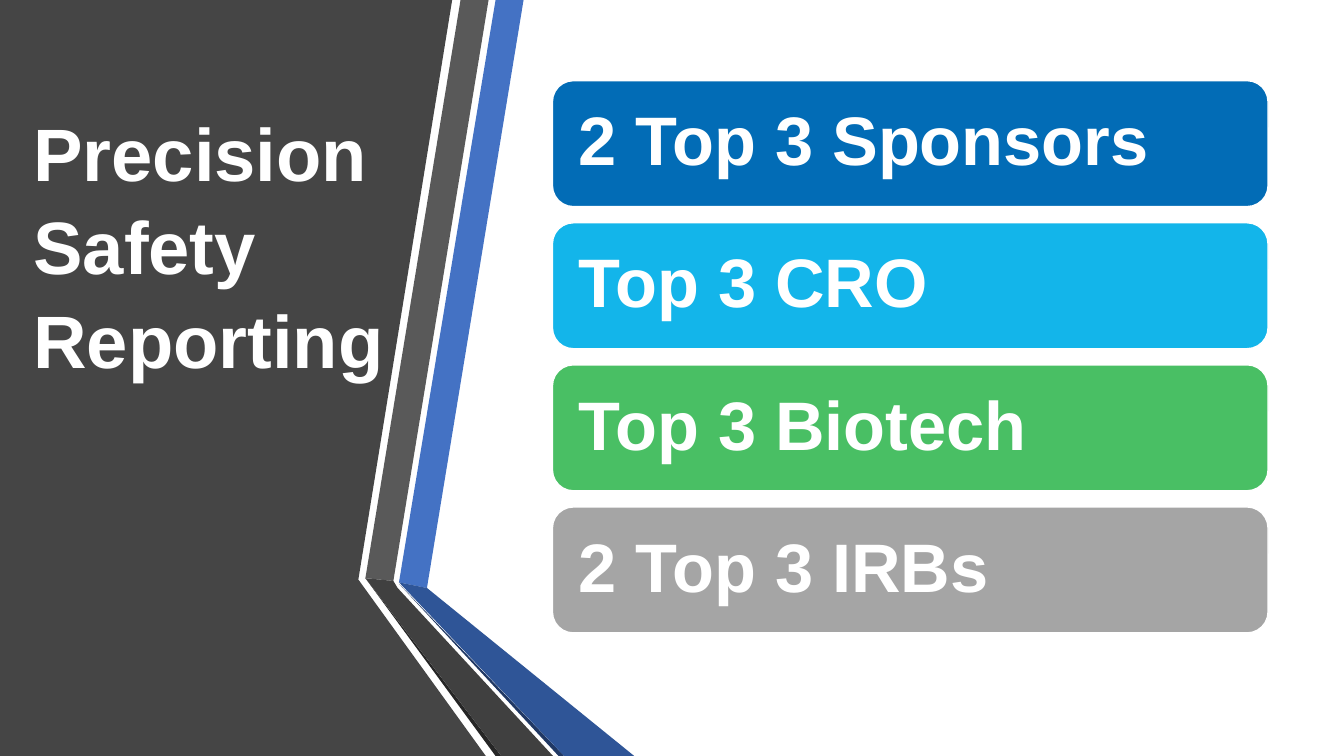
"""Build the Precision Safety Reporting slide."""
from pptx import Presentation
from pptx.dml.color import RGBColor
from pptx.enum.shapes import MSO_SHAPE
from pptx.enum.text import MSO_ANCHOR, MSO_AUTO_SIZE, PP_ALIGN
from pptx.util import Pt

COLORS = {
    "white": "FFFFFF", "panel": "454545", "blue": "4472C4", "gray": "595959",
    "black": "262626", "navy": "203864", "deep_blue": "2F5597",
    "dark_gray": "404040", "sponsors": "026CB6", "cro": "13B5EA",
    "biotech": "49BF64", "irbs": "A5A5A5",
}
TITLE = "Precision Safety Reporting"
BARS = [
    ("2 Top 3 Sponsors", "sponsors"),
    ("Top 3 CRO", "cro"),
    ("Top 3 Biotech", "biotech"),
    ("2 Top 3 IRBs", "irbs"),
]
BANDS = [
    ("panel", [(0, 0), (323.3, 0), (256.3, 414.5), (347, 540), (0, 540)]),
    ("blue", [(285.1, 416.2), (304.6, 419.8), (373.7, 0), (353.5, 0)]),
    ("gray", [(349.2, 0), (329, 0), (261.4, 412.6), (280.8, 415.4)]),
    ("black", [(261.4, 412.6), (353.5, 540), (357.8, 540)]),
    ("navy", [(285.1, 416.9), (398.9, 540), (403.2, 540)]),
    ("deep_blue", [(285.1, 416.2), (403.2, 540), (452.9, 540), (304.6, 419.8)]),
    ("dark_gray", [(394.6, 540), (284.4, 419.8), (280.8, 415.4),
                   (261.4, 412.6), (357.8, 540)]),
]
BAR_LEFT, BAR_TOP, BAR_W, BAR_H, BAR_STEP = 394.6, 57.6, 511.2, 90, 101.5
TITLE_BOX = {"left": Pt(16.6), "top": Pt(69.8), "width": Pt(268.6), "height": Pt(200.2)}
TITLE_FRAME = {"word_wrap": True, "vertical_anchor": MSO_ANCHOR.TOP,
               "auto_size": MSO_AUTO_SIZE.SHAPE_TO_FIT_TEXT,
               "margin_left": Pt(7.2), "margin_right": Pt(7.2),
               "margin_top": Pt(3.6), "margin_bottom": Pt(3.6)}
BAR_FRAME = {"word_wrap": True, "vertical_anchor": MSO_ANCHOR.MIDDLE,
             "margin_left": Pt(14.4), "margin_right": Pt(14.4),
             "margin_top": Pt(14.4), "margin_bottom": Pt(14.4)}


def rgb(name):
    """Return a named colour."""
    return RGBColor.from_string(COLORS[name])


def apply(obj, values):
    """Set each attribute in values on obj."""
    for key, value in values.items():
        setattr(obj, key, value)


def fill(sp, color):
    """Give a shape a plain fill without shadow."""
    sp.shadow.inherit = False
    sp.fill.solid()
    sp.fill.fore_color.rgb = rgb(color)


def write(sp, text, size, spacing, frame):
    """Write one bold white paragraph in a shape."""
    tf = sp.text_frame
    apply(tf, frame)
    p = tf.paragraphs[0]
    apply(p, {"alignment": PP_ALIGN.LEFT, "line_spacing": spacing})
    r = p.add_run()
    r.text = text
    apply(r.font, {"name": "Arial", "size": Pt(size), "bold": True})
    r.font.color.rgb = rgb("white")


def main():
    """Compose and save the slide."""
    prs = Presentation()
    apply(prs, {"slide_width": Pt(960), "slide_height": Pt(540)})
    s = prs.slides.add_slide(prs.slide_layouts[5])

    for color, points in BANDS:
        builder = s.shapes.build_freeform(*points[0], scale=float(Pt(1)))
        builder.add_line_segments(points[1:], close=True)
        sp = builder.convert_to_shape()
        fill(sp, color)
        sp.line.fill.background()

    for i, (text, color) in enumerate(BARS):
        sp = s.shapes.add_shape(MSO_SHAPE.ROUNDED_RECTANGLE, Pt(BAR_LEFT),
                                Pt(BAR_TOP + i * BAR_STEP), Pt(BAR_W), Pt(BAR_H))
        fill(sp, color)
        sp.line.color.rgb = rgb("white")
        sp.line.width = Pt(1)
        write(sp, text, 49, 0.9, BAR_FRAME)

    title = s.shapes.title
    apply(title, TITLE_BOX)
    write(title, TITLE, 53, 1.05, TITLE_FRAME)
    title.element.getparent().append(title.element)

    prs.save("out.pptx")


if __name__ == "__main__":
    main()
